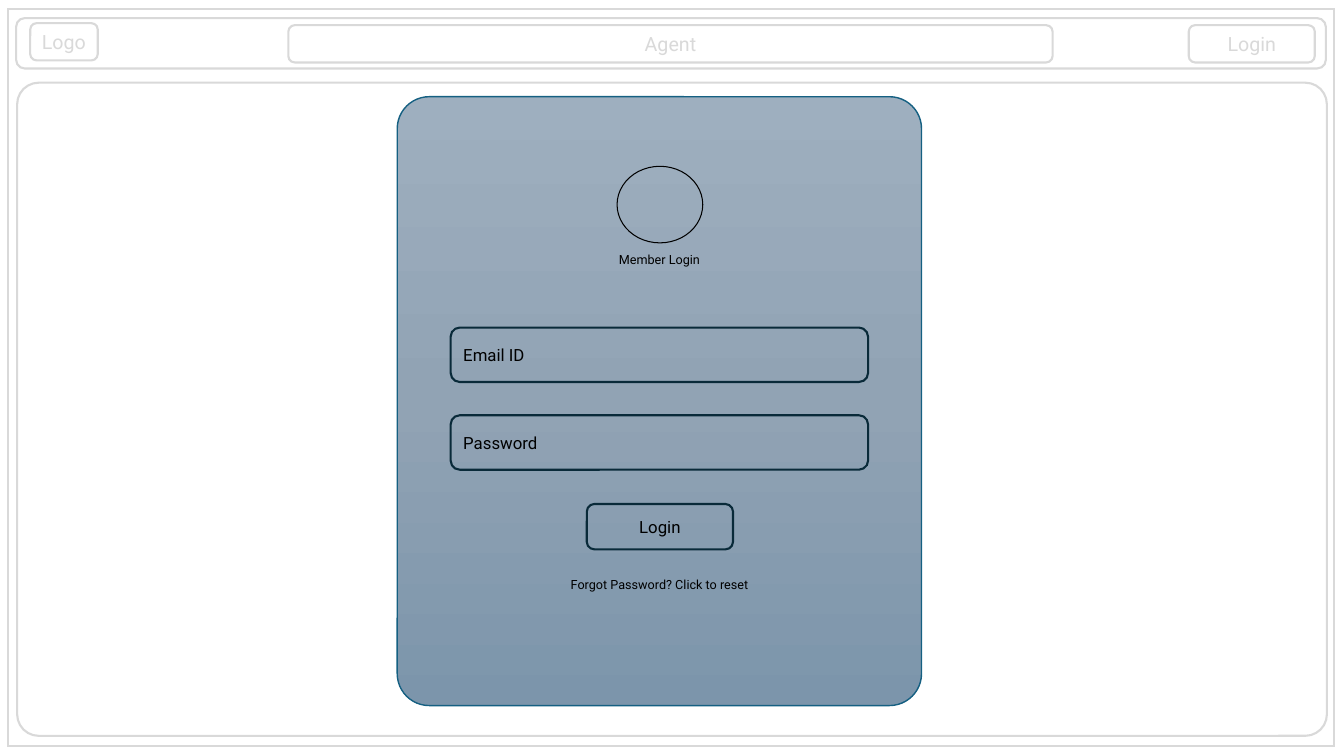
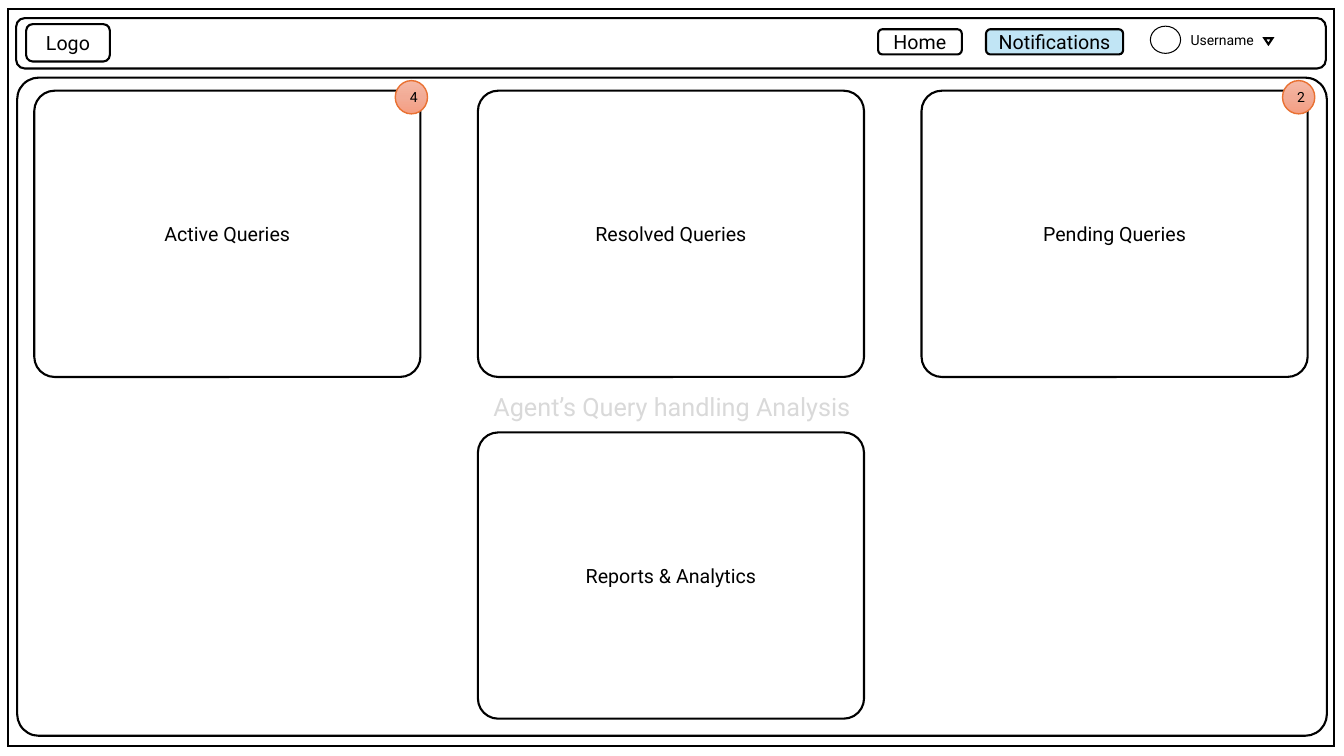
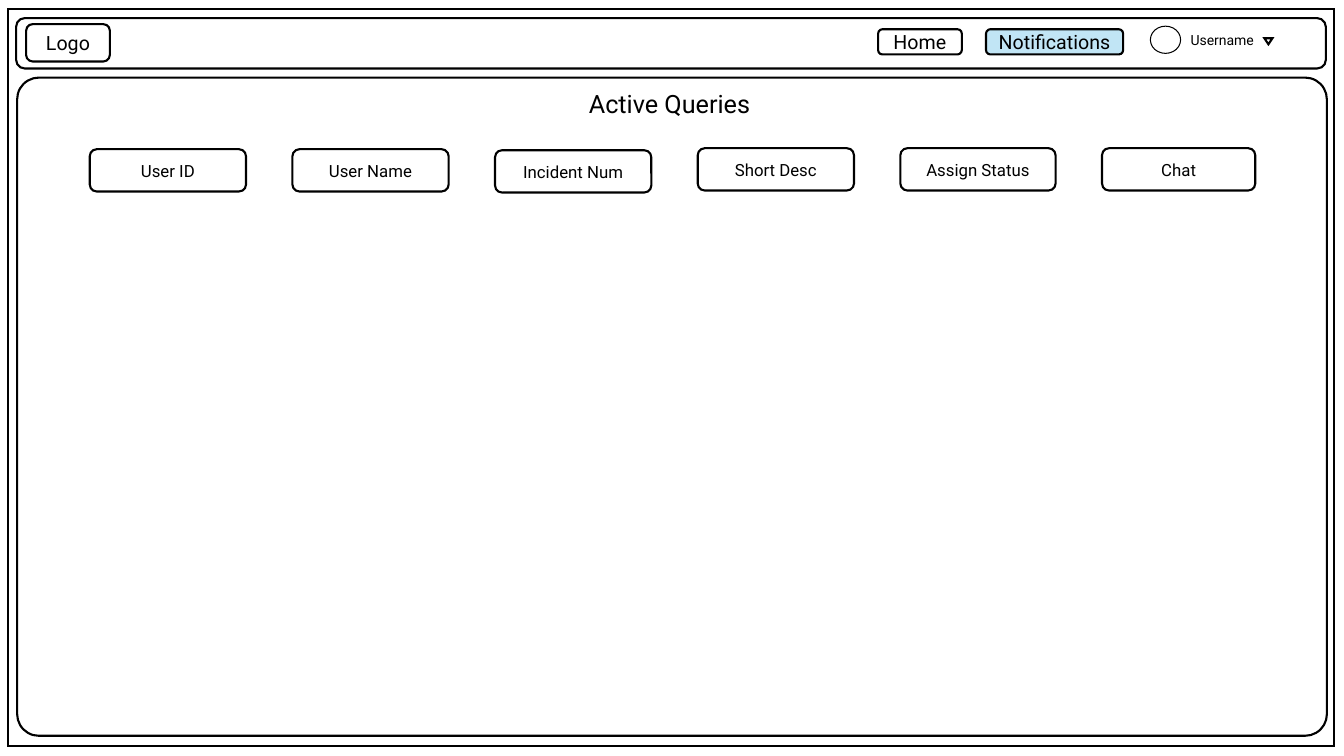
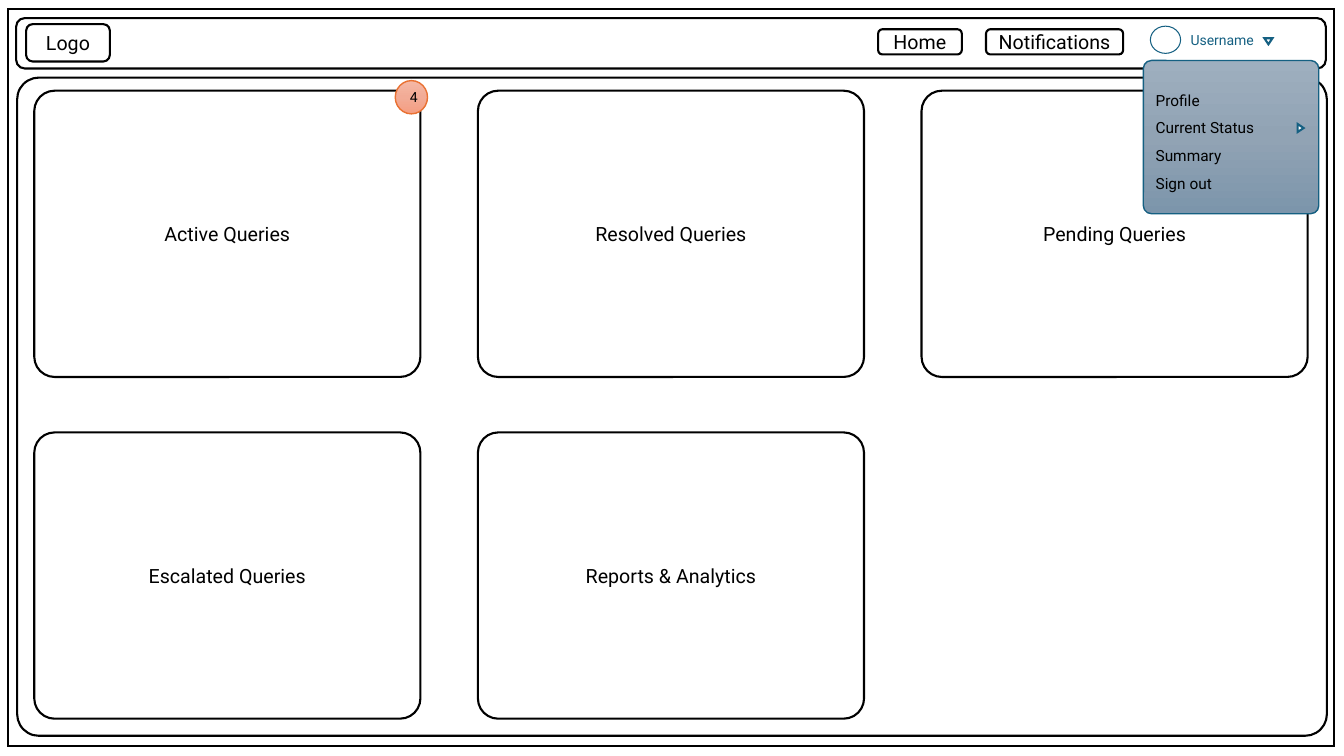
from dataclasses import dataclass

from lxml.etree import SubElement
from pptx import Presentation
from pptx.dml.color import RGBColor
from pptx.enum.shapes import MSO_SHAPE
from pptx.enum.text import MSO_ANCHOR, MSO_AUTO_SIZE, PP_ALIGN
from pptx.oxml.ns import qn
from pptx.util import Inches, Pt


@dataclass(frozen=True)
class Theme:
    font: str = "Roboto"
    ink: str = "000000"
    paper: str = "FFFFFF"
    faded: str = "D9D9D9"
    accent: str = "156082"
    field_line: str = "092A39"
    highlight: str = "C1E5F5"
    badge_line: str = "E97132"
    steel: tuple = ("9EAFBF", "91A3B4", "7C95AB")
    coral: tuple = ("F5B8A5", "F2AB96", "F59E82")
    title: int = 18
    label: int = 14
    field: int = 12
    menu: int = 11
    small: int = 10
    note: int = 9
    outline: float = 1.5
    edge: float = 1
    thin: float = 0.75


@dataclass(frozen=True)
class Box:
    """A rectangle in inches."""
    left: float
    top: float
    width: float
    height: float

    def inner(self, dx, dy, width, height):
        return Box(self.left + dx, self.top + dy, width, height)

    def lengths(self):
        return [Inches(n) for n in (self.left, self.top, self.width, self.height)]


THEME = Theme()
FRAME = Box(0.08, 0.09, 13.15, 7.31)
HEADER = Box(0.16, 0.18, 12.99, 0.5)
CONTENT = Box(0.17, 0.77, 12.99, 6.53)
LOGIN_CONTENT = Box(0.17, 0.82, 12.99, 6.48)
BAR_CORNER, FIELD_CORNER, PANEL_CORNER, CARD_CORNER = 0.173, 0.167, 0.033, 0.071
LEFT, CENTER = PP_ALIGN.LEFT, PP_ALIGN.CENTER


def write(frame, lines, size, color, align=CENTER, anchor=MSO_ANCHOR.MIDDLE,
          wrap=True, spacing=None):
    settings = {"word_wrap": wrap, "vertical_anchor": anchor,
                "auto_size": MSO_AUTO_SIZE.NONE}
    for name, value in settings.items():
        setattr(frame, name, value)
    frame.text = "\n".join(lines)
    for paragraph in frame.paragraphs:
        paragraph.alignment = align
        if spacing:
            paragraph.line_spacing = spacing
        font = paragraph.runs[0].font
        font.name, font.size = THEME.font, Pt(size)
        font.color.rgb = RGBColor.from_string(color)


def paint(shape, fill):
    """Fill with one colour, a vertical gradient of several, or nothing."""
    if fill is None:
        shape.fill.background()
    elif isinstance(fill, str):
        shape.fill.solid()
        shape.fill.fore_color.rgb = RGBColor.from_string(fill)
    else:
        shape.fill.gradient()
        shape.fill.gradient_angle = 270
        stops = shape.element.spPr.find(".//" + qn("a:gsLst"))
        for stop in list(stops):
            stops.remove(stop)
        for i, color in enumerate(fill):
            stop = SubElement(stops, qn("a:gs"), pos=str(100000 * i // (len(fill) - 1)))
            SubElement(stop, qn("a:srgbClr"), val=color)


def draw(slide, kind, box, fill=None, line=THEME.ink, weight=THEME.outline):
    shape = slide.shapes.add_shape(kind, *box.lengths())
    shape.shadow.inherit = False
    paint(shape, fill)
    shape.line.color.rgb = RGBColor.from_string(line)
    shape.line.width = Pt(weight)
    SubElement(shape.element.spPr.find(qn("a:ln")), qn("a:miter"), lim="800000")
    return shape


def rounded(slide, box, corner, text=None, size=THEME.label, color=THEME.ink,
            align=CENTER, fill=THEME.paper, line=THEME.ink, weight=THEME.outline):
    shape = draw(slide, MSO_SHAPE.ROUNDED_RECTANGLE, box, fill, line, weight)
    shape.adjustments[0] = corner
    if text:
        write(shape.text_frame, [text], size, color, align, wrap=align != CENTER)
    return shape


def caption(slide, box, text, size, color=THEME.ink, align=CENTER, wrap=True):
    label = slide.shapes.add_textbox(*box.lengths())
    write(label.text_frame, [text], size, color, align, MSO_ANCHOR.TOP, wrap)


def arrow(slide, box, color, rotation=0):
    draw(slide, MSO_SHAPE.FLOWCHART_MERGE, box, THEME.paper, color).rotation = rotation


def login_header(slide, box):
    rounded(slide, box, BAR_CORNER, line=THEME.faded)
    for text, dx, dy, width in (("Login", 11.63, 0.07, 1.25), ("Agent", 2.7, 0.07, 7.58),
                                ("Logo", 0.14, 0.05, 0.67)):
        rounded(slide, box.inner(dx, dy, width, 0.37), BAR_CORNER, text,
                color=THEME.faded, line=THEME.faded)


def login_card(slide, box):
    rounded(slide, box, 0.061, fill=THEME.steel, line=THEME.accent, weight=THEME.edge)
    draw(slide, MSO_SHAPE.OVAL, box.inner(2.18, 0.69, 0.85, 0.76), weight=THEME.thin)
    for text, dx, dy, width, height, align in (
            ("Email ID", 0.53, 2.29, 4.14, 0.54, LEFT),
            ("Password", 0.53, 3.16, 4.14, 0.54, LEFT),
            ("Login", 1.88, 4.04, 1.45, 0.45, CENTER)):
        rounded(slide, box.inner(dx, dy, width, height), FIELD_CORNER, text, THEME.field,
                align=align, fill=None, line=THEME.field_line)
    for text, dy in (("Member Login", 1.49), ("Forgot Password? Click to reset", 4.71)):
        caption(slide, box.inner(0.53, dy, 4.14, 0.25), text, THEME.note)


def agent_header(slide, box, notice_fill, user_color):
    rounded(slide, box, BAR_CORNER)
    for text, dx, dy, width, height, fill in (
            ("Logo", 0.1, 0.06, 0.83, 0.37, THEME.paper),
            ("Home", 8.55, 0.11, 0.83, 0.25, THEME.paper),
            ("Notifications", 9.62, 0.11, 1.36, 0.25, notice_fill)):
        rounded(slide, box.inner(dx, dy, width, height), BAR_CORNER, text, fill=fill)
    draw(slide, MSO_SHAPE.OVAL, box.inner(11.25, 0.08, 0.3, 0.27),
         line=user_color, weight=THEME.thin)
    caption(slide, box.inner(11.55, 0.08, 0.83, 0.27), "Username", THEME.small,
            user_color, LEFT, wrap=False)
    arrow(slide, box.inner(12.38, 0.2, 0.08, 0.06), user_color)


def query_cards(slide, box, cards):
    """Place (text, column, row, badge count) cards on a grid with equal gaps."""
    for text, column, row, _ in cards:
        rounded(slide, box.inner(0.17 + 4.4 * column, 0.13 + 3.39 * row, 3.83, 2.84),
                CARD_CORNER, text)
    for _, column, row, count in cards:
        if count:
            badge = draw(slide, MSO_SHAPE.OVAL,
                         box.inner(3.75 + 4.4 * column, 0.03 + 3.39 * row, 0.32, 0.33),
                         THEME.coral, THEME.badge_line, THEME.edge)
            write(badge.text_frame, [count], THEME.small, THEME.ink)


def column_heads(slide, box):
    gap, dx = 0.46, 0.72
    for text, dy, width in (
            ("User ID", 0.71, 1.55), ("User Name", 0.71, 1.55),
            ("Incident Num", 0.72, 1.55), ("Short Desc", 0.7, 1.55),
            ("Assign Status", 0.7, 1.54), ("Chat", 0.7, 1.52)):
        rounded(slide, box.inner(dx, dy, width, 0.42), FIELD_CORNER, text, THEME.field)
        dx += width + gap


def page_title(slide, box, text):
    title = slide.shapes.title
    title.left, title.top, title.width, title.height = box.lengths()
    write(title.text_frame, [text], THEME.title, THEME.ink, LEFT, MSO_ANCHOR.TOP)
    title.element.getparent().append(title.element)  # in front of the panel


def user_menu(slide, box):
    menu = rounded(slide, box, 0.053, fill=THEME.steel, line=THEME.accent,
                   weight=THEME.edge)
    write(menu.text_frame, ["Profile", "Current Status", "Summary", "Sign out"],
          THEME.menu, THEME.ink, LEFT, spacing=1.5)
    arrow(slide, box.inner(1.52, 0.64, 0.08, 0.06), THEME.accent, 270)


def framed_slide(deck, line=THEME.ink, titled=False):
    slide = deck.slides.add_slide(deck.slide_layouts[5 if titled else 6])
    rounded(slide, FRAME, 0, line=line)
    return slide


def agent_slide(deck, notice_fill=THEME.highlight, user_color=THEME.ink,
                panel_text=None, titled=False):
    slide = framed_slide(deck, titled=titled)
    agent_header(slide, HEADER, notice_fill, user_color)
    rounded(slide, CONTENT, PANEL_CORNER, panel_text, THEME.title, THEME.faded)
    return slide


def main():
    deck = Presentation()
    deck.slide_width, deck.slide_height = Inches(13.33), Inches(7.5)

    login = framed_slide(deck, THEME.faded)
    rounded(login, LOGIN_CONTENT, PANEL_CORNER, line=THEME.faded)
    login_header(login, HEADER)
    login_card(login, Box(3.94, 0.96, 5.2, 6.04))

    dashboard = agent_slide(deck, panel_text="Agent’s Query handling Analysis")
    query_cards(dashboard, CONTENT, [
        ("Active Queries", 0, 0, "4"), ("Resolved Queries", 1, 0, None),
        ("Pending Queries", 2, 0, "2"), ("Reports & Analytics", 1, 1, None)])

    active = agent_slide(deck, titled=True)
    column_heads(active, CONTENT)
    page_title(active, CONTENT.inner(5.57, 0.06, 1.87, 0.4), "Active Queries")

    account = agent_slide(deck, THEME.paper, THEME.accent)
    query_cards(account, CONTENT, [
        ("Active Queries", 0, 0, "4"), ("Resolved Queries", 1, 0, None),
        ("Pending Queries", 2, 0, None), ("Escalated Queries", 0, 1, None),
        ("Reports & Analytics", 1, 1, None)])
    user_menu(account, Box(11.34, 0.6, 1.74, 1.52))

    deck.save("out.pptx")


if __name__ == "__main__":
    main()
